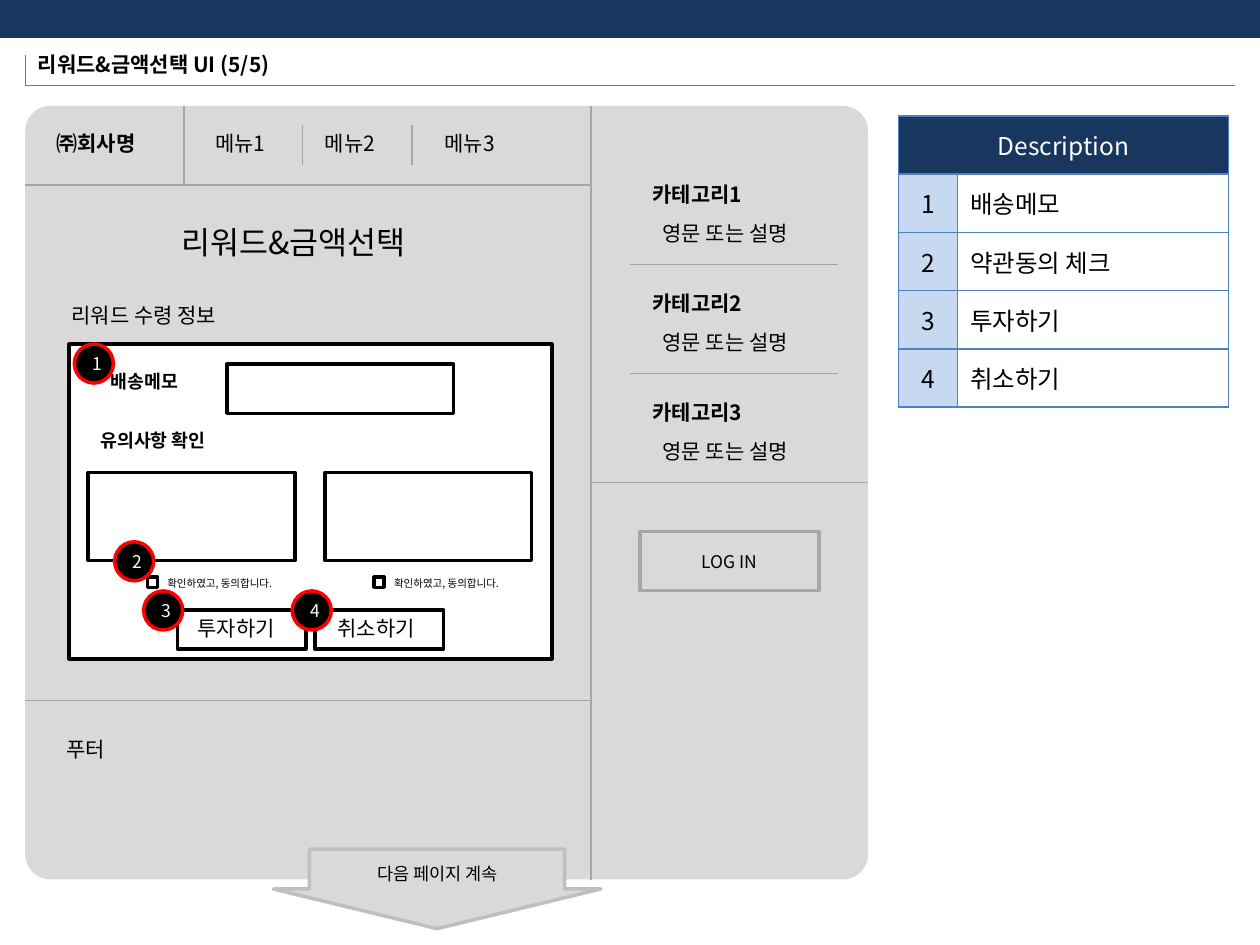
"""Builds a wireframe slide of the reward and amount selection page."""
from lxml.etree import SubElement
from pptx import Presentation
from pptx.dml.color import RGBColor
from pptx.enum.shapes import MSO_CONNECTOR, MSO_SHAPE as SHAPE
from pptx.enum.text import MSO_ANCHOR as ANCHOR, MSO_AUTO_SIZE as AUTO, PP_ALIGN as ALIGN
from pptx.oxml.ns import qn
from pptx.util import Pt

FONT = "Noto Sans CJK KR"
BLACK, WHITE, NAVY, RED = "000000", "FFFFFF", "17375E", "FF0000"
PANEL, RULE, ARROW, ACCENT, BORDER, PALE = "D9D9D9", "A6A6A6", "BFBFBF", "4B7EBC", "4F81BD", "C6D9F1"

TITLE = "리워드&금액선택 UI (5/5)"
MENUS = [("메뉴1", 115.9), ("메뉴2", 178.6), ("메뉴3", 247)]
CATEGORIES = ["카테고리1", "카테고리2", "카테고리3"]
CATEGORY_NOTE = "영문 또는 설명"
AGREEMENT = "확인하였고, 동의합니다."
DESCRIPTIONS = ["배송메모", "약관동의 체크", "투자하기", "취소하기"]
PAGE_LABELS = [
    ("㈜회사명", 25.2, 71.3, 63.4, 21.6, 12, True),
    ("푸터", 31, 417.6, 38.9, 21.6, 12, False),
    ("리워드&금액선택", 96.5, 123.8, 157, 28.8, 18, False),
    ("리워드 수령 정보", 33.8, 169.2, 108, 21.6, 12, False),
]
FORM_LABELS = [
    ("배송메모", 56.2, 208.1, 56.9, 20.2, 10.5, True),
    ("유의사항 확인", 50.4, 241.9, 85, 20.9, 10.5, True),
    ("투자하기", 105.8, 348.5, 63.4, 21.6, 12, False),
    ("취소하기", 185.8, 348.5, 63.4, 21.6, 12, False),
]
FORM_BOXES = [
    (39.6, 196.6, 275.8, 180),
    (129.6, 208.1, 129.6, 28.1),
    (50.4, 270, 118.1, 50.4),
    (185.8, 270, 118.1, 50.4),
    (101.5, 348.5, 73.4, 22.3),
    (180, 348.5, 73.4, 22.3),
]
CHECK_LEFTS = [84.2, 213.8]
MARKERS = [(42.5, 196.6), (65.5, 309.6), (82.1, 337.7), (167, 337.7)]

LEFT, TOP, RIGHT, BOTTOM, SPLIT = 14.4, 60.5, 496.1, 502.6, 337.7
HEADER_Y, FOOTER_Y = 105.8, 400.3
CATEGORY_TOP, CATEGORY_STEP = 100.1, 62.3
RULES = [
    (LEFT, HEADER_Y, SPLIT, HEADER_Y),
    (105.1, HEADER_Y, 105.1, TOP),
    (172.8, 94.3, 172.8, 71.3),
    (235.4, 94.3, 235.4, 71.3),
    (SPLIT, TOP, SPLIT, BOTTOM),
    (LEFT, FOOTER_Y, SPLIT, FOOTER_Y),
]
TITLE_RULES = [(LEFT, 31.7, LEFT, 49), (LEFT, 49, 705.6, 49)]


def rgb(value):
    return RGBColor.from_string(value)


def write(tf, text, size, color=BLACK, bold=False, align=ALIGN.LEFT):
    p = tf.paragraphs[0]
    p.alignment = align
    r = p.add_run()
    r.text = text
    r.font.size = Pt(size)
    r.font.bold = bold
    r.font.name = FONT
    r.font.color.rgb = rgb(color)
    SubElement(r.font._element, qn("a:ea"), typeface=FONT)


def add_label(s, text, x, y, w, h, size, bold=False, wrap=False):
    tf = s.shapes.add_textbox(Pt(x), Pt(y), Pt(w), Pt(h)).text_frame
    tf.word_wrap = wrap
    tf.auto_size = AUTO.SHAPE_TO_FIT_TEXT
    write(tf, text, size, bold=bold)


def add_box(s, kind, x, y, w, h, fill=None, line=None, text=None, color=BLACK):
    sp = s.shapes.add_shape(kind, Pt(x), Pt(y), Pt(w), Pt(h))
    sp.shadow.inherit = False
    if fill:
        sp.fill.solid()
        sp.fill.fore_color.rgb = rgb(fill)
    else:
        sp.fill.background()
    if line:
        sp.line.color.rgb = rgb(line)
        sp.line.width = Pt(2)
    else:
        sp.line.fill.background()
    if text:
        sp.text_frame.vertical_anchor = ANCHOR.MIDDLE
        write(sp.text_frame, text, 10, color, align=ALIGN.CENTER)
    return sp


def add_rule(s, x1, y1, x2, y2, color=RULE):
    line = s.shapes.add_connector(MSO_CONNECTOR.STRAIGHT, Pt(x1), Pt(y1), Pt(x2), Pt(y2))
    line.line.color.rgb = rgb(color)
    line.line.width = Pt(0.75)
    SubElement(line._element.spPr, qn("a:effectLst"))


def set_cell(cell, text, fill, color=BLACK, align=ALIGN.CENTER):
    tc_pr = cell._tc.get_or_add_tcPr()
    for side in ("a:lnL", "a:lnR", "a:lnT", "a:lnB"):
        ln = SubElement(tc_pr, qn(side), w=str(Pt(1)))
        SubElement(SubElement(ln, qn("a:solidFill")), qn("a:srgbClr"), val=BORDER)
    cell.fill.solid()
    cell.fill.fore_color.rgb = rgb(fill)
    cell.vertical_anchor = ANCHOR.MIDDLE
    if text:
        write(cell.text_frame, text, 14, color, align=align)


def add_title(s):
    title = s.shapes.title
    title.left, title.top, title.width, title.height = Pt(LEFT), Pt(25.9), Pt(159.1), Pt(21.6)
    tf = title.text_frame
    tf.word_wrap = False
    tf.auto_size = AUTO.SHAPE_TO_FIT_TEXT
    tf.vertical_anchor = ANCHOR.TOP
    write(tf, TITLE, 12, bold=True)
    add_box(s, SHAPE.RECTANGLE, 0, 0, 720, 20.9, NAVY, NAVY)
    for rule in TITLE_RULES:
        add_rule(s, *rule, ACCENT)


def add_page(s):
    panel = add_box(s, SHAPE.ROUNDED_RECTANGLE, LEFT, TOP, RIGHT - LEFT, BOTTOM - TOP, PANEL)
    panel.adjustments[0] = 0.033
    for rule in RULES:
        add_rule(s, *rule)
    for label in PAGE_LABELS:
        add_label(s, *label)
    for text, x in MENUS:
        add_label(s, text, x, 71.3, 44, 21.6, 12, wrap=True)
    for i, text in enumerate(CATEGORIES):
        y = CATEGORY_TOP + i * CATEGORY_STEP
        last = i == len(CATEGORIES) - 1
        add_label(s, text, 365.8, y, 69.8, 21.6, 12, True)
        add_label(s, CATEGORY_NOTE, 371.5, y + 22.6, 95.8, 21.6, 12)
        add_rule(s, SPLIT if last else 360, y + 51.1, RIGHT if last else 478.8, y + 51.1)
    add_box(s, SHAPE.RECTANGLE, 365.8, 303.8, 102.2, 33.8, None, RULE, "LOG IN")
    arrow = add_box(s, SHAPE.DOWN_ARROW, 156.2, 485.3, 187.2, 45.4, PANEL, ARROW, "다음 페이지 계속")
    arrow.adjustments[0] = 0.779


def add_form(s):
    for box in FORM_BOXES:
        add_box(s, SHAPE.RECTANGLE, *box, WHITE, BLACK)
    for x in CHECK_LEFTS:
        add_box(s, SHAPE.RECTANGLE, x, 329.8, 5.8, 5.8, WHITE, BLACK)
        add_label(s, AGREEMENT, x + 4.3, 326.2, 79.9, 14.4, 6)
    for label in FORM_LABELS:
        add_label(s, *label)
    for number, (x, y) in enumerate(MARKERS, 1):
        add_box(s, SHAPE.OVAL, x, y, 22.3, 22.3, BLACK, RED, str(number), WHITE)


def add_descriptions(s):
    rows = len(DESCRIPTIONS) + 1
    table = s.shapes.add_table(rows, 2, Pt(513.4), Pt(66.2), Pt(188.6), Pt(33.3 * rows)).table
    table.columns[0].width, table.columns[1].width = Pt(33.8), Pt(154.8)
    table.cell(0, 0).merge(table.cell(0, 1))
    set_cell(table.cell(0, 0), "Description", NAVY, WHITE)
    set_cell(table.cell(0, 1), "", NAVY)
    for i, text in enumerate(DESCRIPTIONS, 1):
        set_cell(table.cell(i, 0), str(i), PALE)
        set_cell(table.cell(i, 1), text, WHITE, align=ALIGN.LEFT)


def main():
    prs = Presentation()
    prs.slide_width, prs.slide_height = Pt(720), Pt(540)
    s = prs.slides.add_slide(prs.slide_layouts[5])
    add_title(s)
    add_page(s)
    add_form(s)
    add_descriptions(s)
    prs.save("out.pptx")


if __name__ == "__main__":
    main()
